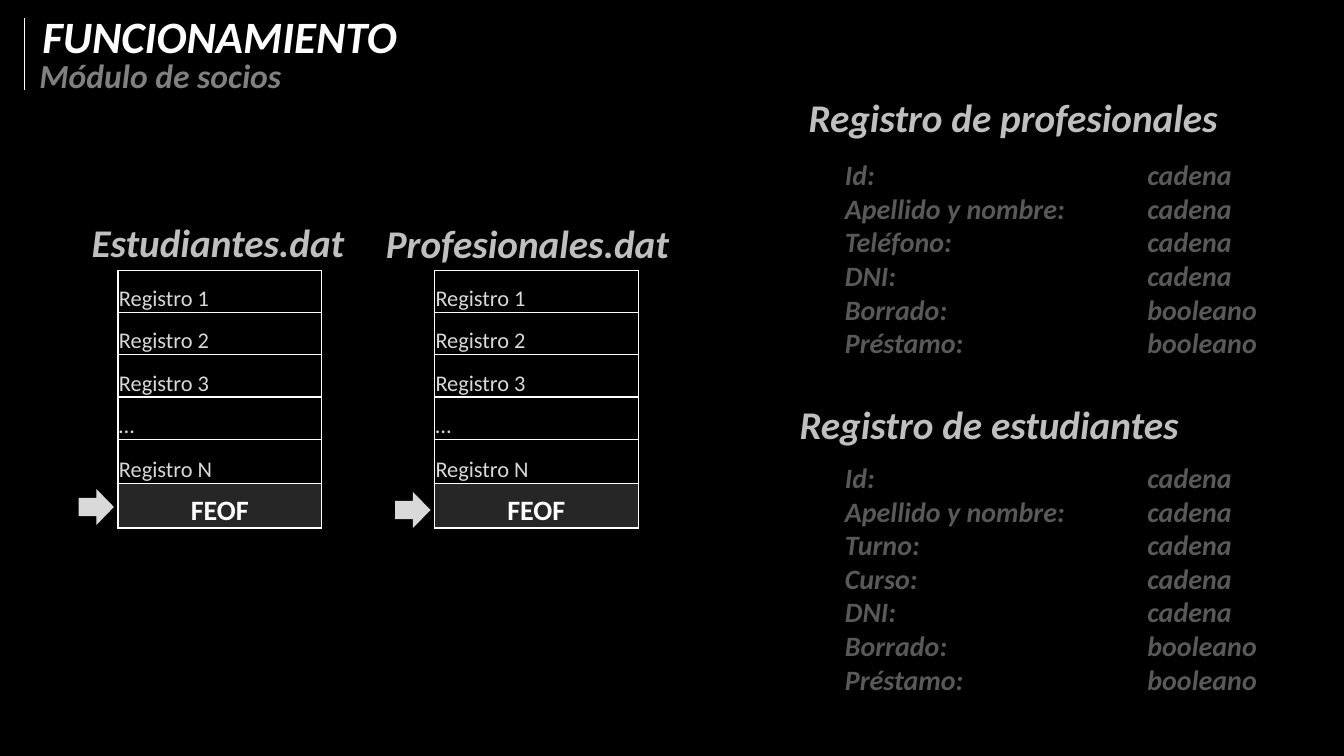
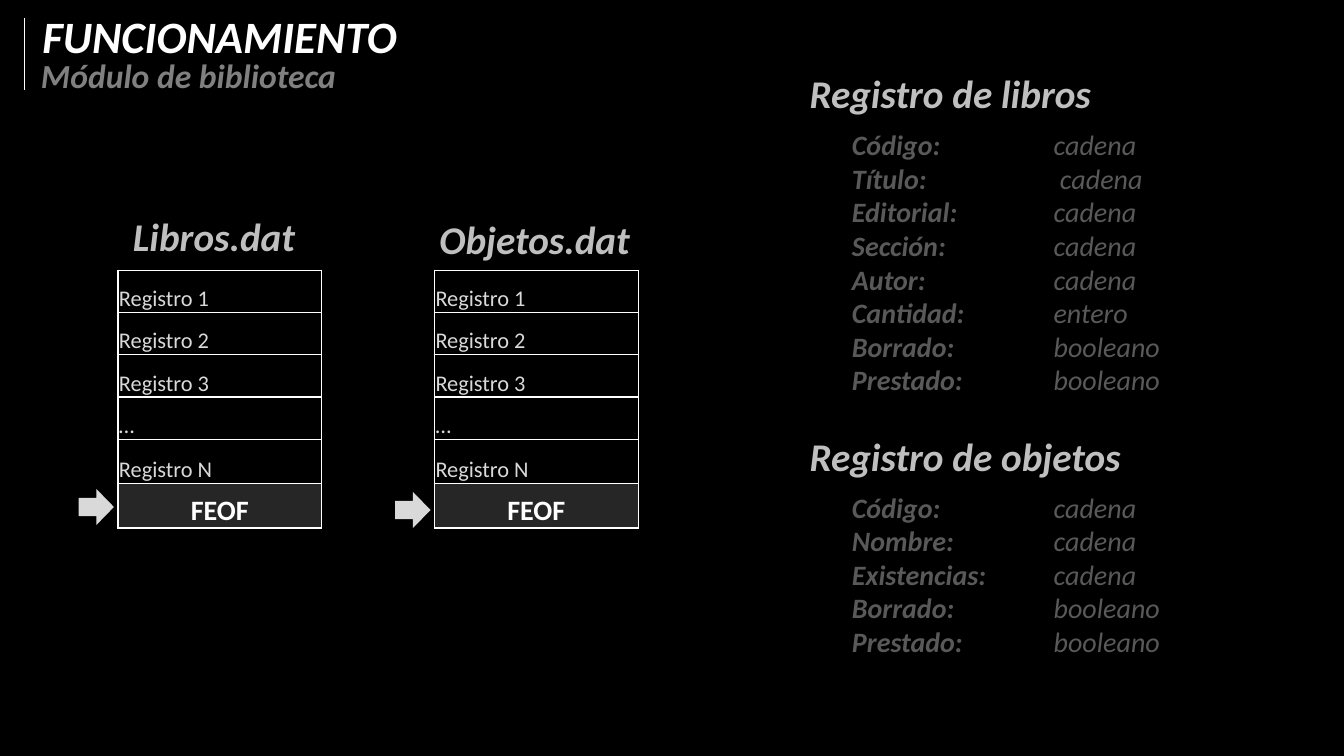
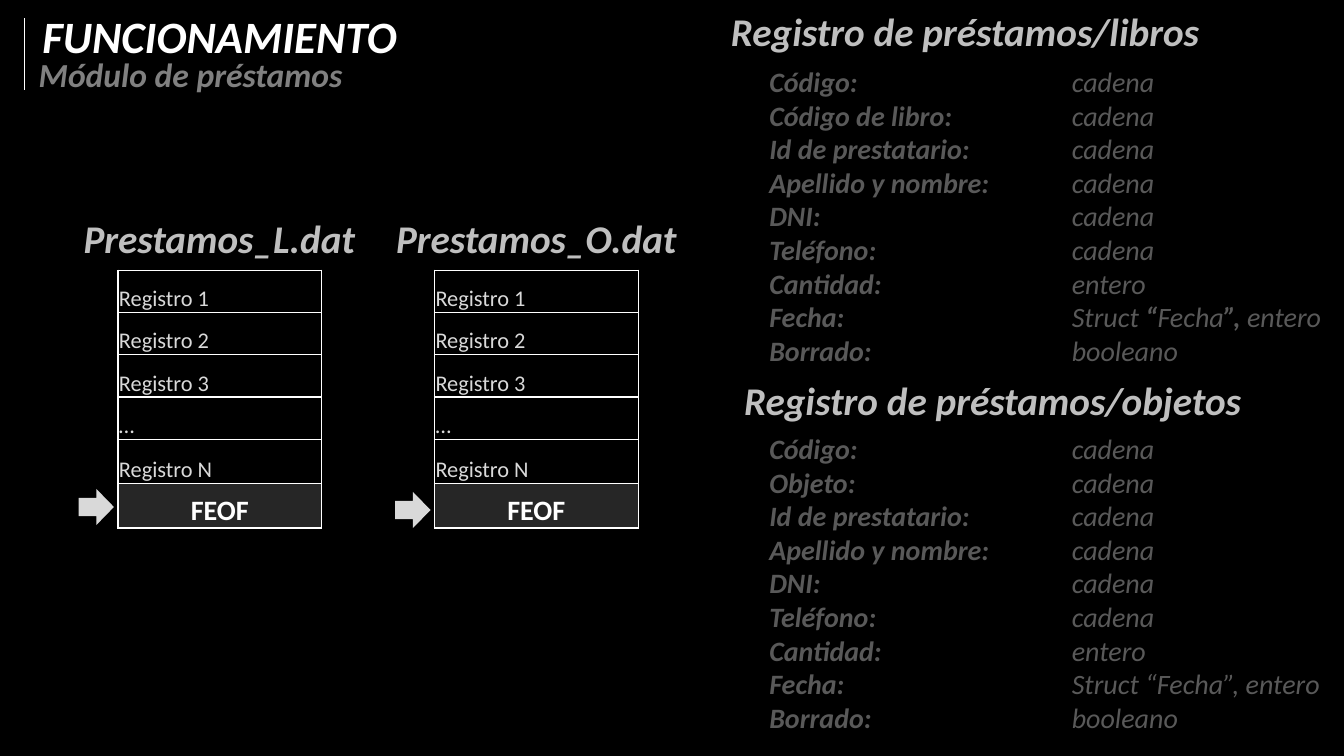
from dataclasses import dataclass

from lxml.etree import SubElement
from pptx import Presentation
from pptx.dml.color import RGBColor
from pptx.enum.shapes import MSO_CONNECTOR, MSO_SHAPE
from pptx.enum.text import MSO_ANCHOR, MSO_AUTO_SIZE, PP_ALIGN
from pptx.oxml.ns import qn
from pptx.util import Inches, Pt

FONT = "Calibri"
BLACK, WHITE = "000000", "FFFFFF"
DARK, DIM, GREY, SILVER, LIGHT = "262626", "595959", "808080", "BFBFBF", "D9D9D9"

COMPARISON_LAYOUT = 4
RECORD_ROWS = ["Registro 1", "Registro 2", "Registro 3", "…", "Registro N", "FEOF"]
ROW_HEIGHTS = [0.42] * 4 + [0.44] * 2
TABLE_LEFTS = [1.17, 4.31]
TABLE_TOP, TABLE_WIDTH = 2.68, 2.02
ARROW_TOPS = [4.85, 4.88]
ARROW_OFFSET = 0.39
FILE_WIDTHS = [2.95, 3.2]
FIELDS_WIDTH = 5.8


@dataclass
class Record:
    """A record heading and its fields; asterisks in a value enclose bold text."""
    heading: str
    heading_at: tuple
    fields_top: float
    fields_height: float
    fields: list


@dataclass
class Module:
    subtitle: str
    subtitle_at: tuple
    files: list  # (name, left, top) of each data file
    fields_left: float
    tab: float
    records: list
    bold_values: bool = False


MODULES = [
    Module(
        "Módulo de socios", (0.22, 0.49, 2.74, 0.51),
        [("Estudiantes.dat", 0.81, 2.03), ("Profesionales.dat", 3.73, 2.04)],
        8.28, 3,
        [
            Record("Registro de profesionales", (7.92, 0.79, 4.34, 0.74), 1.31, 2.51, [
                ("Id:", "cadena"),
                ("Apellido y nombre:", "cadena"),
                ("Teléfono:", "cadena"),
                ("DNI:", "cadena"),
                ("Borrado:", "booleano"),
                ("Préstamo:", "booleano"),
            ]),
            Record("Registro de estudiantes", (7.83, 3.83, 4.05, 0.74), 4.48, 2.51, [
                ("Id:", "cadena"),
                ("Apellido y nombre:", "cadena"),
                ("Turno:", "cadena"),
                ("Curso:", "cadena"),
                ("DNI:", "cadena"),
                ("Borrado:", "booleano"),
                ("Préstamo:", "booleano"),
            ]),
        ],
        bold_values=True,
    ),
    Module(
        "Módulo de biblioteca", (0.22, 0.49, 3.3, 0.51),
        [("Libros.dat", 1.22, 1.97), ("Objetos.dat", 4.26, 2)],
        8.35, 2,
        [
            Record("Registro de libros", (7.93, 0.55, 4.34, 0.74), 0.62, 3.96, [
                ("Código:", "cadena"),
                ("Título:", " cadena"),
                ("Editorial:", "cadena"),
                ("Sección:", "cadena"),
                ("Autor:", "cadena"),
                ("Cantidad:", "entero"),
                ("Borrado:", "booleano"),
                ("Prestado:", "booleano"),
            ]),
            Record("Registro de objetos", (7.93, 4.15, 4.05, 0.74), 4.44, 2.51, [
                ("Código:", "cadena"),
                ("Nombre:", "cadena"),
                ("Existencias:", "cadena"),
                ("Borrado:", "booleano"),
                ("Prestado:", "booleano"),
            ]),
        ],
    ),
    Module(
        "Módulo de préstamos", (0.24, 0.48, 3.3, 0.51),
        [("Prestamos_L.dat", 0.73, 1.99), ("Prestamos_O.dat", 3.83, 1.99)],
        7.53, 3,
        [
            Record("Registro de préstamos/libros", (7.15, -0.06, 4.9, 0.74), 0.45, 3.38, [
                ("Código:", "cadena"),
                ("Código de libro:", "cadena"),
                ("Id de prestatario:", "cadena"),
                ("Apellido y nombre:", "cadena"),
                ("DNI:", "cadena"),
                ("Teléfono:", "cadena"),
                ("Cantidad:", "entero"),
                ("Fecha:", "Struct* “*Fecha*”, *entero"),
                ("Borrado:", "booleano"),
            ]),
            Record("Registro de préstamos/objetos", (7.28, 3.6, 5.22, 0.74), 4.09, 3.38, [
                ("Código:", "cadena"),
                ("Objeto:", "cadena"),
                ("Id de prestatario:", "cadena"),
                ("Apellido y nombre:", "cadena"),
                ("DNI:", "cadena"),
                ("Teléfono:", "cadena"),
                ("Cantidad:", "entero"),
                ("Fecha:", "Struct “Fecha”, entero"),
                ("Borrado:", "booleano"),
            ]),
        ],
    ),
]


def colour(hex_code):
    return RGBColor.from_string(hex_code)


def fill_solid(fill, hex_code):
    fill.solid()
    fill.fore_color.rgb = colour(hex_code)


def set_font(para, size, hex_code, bold=True, italic=True):
    font = para.font
    font.name, font.size = FONT, Pt(size)
    font.bold, font.italic = bold, italic
    font.color.rgb = colour(hex_code)


def place(box, left, top, width, height):
    """Position a text holder and make its text wrap, centred vertically."""
    box.left, box.top = Inches(left), Inches(top)
    box.width, box.height = Inches(width), Inches(height)
    frame = box.text_frame
    frame.word_wrap = True
    frame.auto_size = MSO_AUTO_SIZE.NONE
    frame.vertical_anchor = MSO_ANCHOR.MIDDLE
    return frame


def write_line(box, at, text, size, hex_code, align=PP_ALIGN.LEFT):
    para = place(box, *at).paragraphs[0]
    para.text = text
    para.alignment = align
    para.space_before = Pt(0)
    set_font(para, size, hex_code)


def add_line_box(page, at, *style):
    box = page.shapes.add_textbox(*map(Inches, at))
    write_line(box, at, *style)


def add_header(page, module):
    write_line(page.shapes.title, (0.1, 0, 4.16, 0.71), "FUNCIONAMIENTO",
               32, WHITE, PP_ALIGN.CENTER)
    add_line_box(page, module.subtitle_at, module.subtitle, 24, GREY, PP_ALIGN.CENTER)
    rule = page.shapes.add_connector(
        MSO_CONNECTOR.STRAIGHT, Inches(0.24), Inches(0.18), Inches(0.24), Inches(0.89))
    rule.line.color.rgb = colour(WHITE)
    rule.line.width = Pt(0.5)
    SubElement(rule._element.spPr, qn("a:effectLst"))


def set_borders(cell):
    properties = cell._tc.get_or_add_tcPr()
    for position, side in enumerate(("a:lnL", "a:lnR", "a:lnT", "a:lnB")):
        line = properties.makeelement(qn(side), {"w": str(Pt(1))})
        paint = SubElement(line, qn("a:solidFill"))
        SubElement(paint, qn("a:srgbClr"), val=WHITE)
        properties.insert(position, line)


def add_record_table(page, left):
    frame = page.shapes.add_table(
        len(RECORD_ROWS), 1, Inches(left), Inches(TABLE_TOP),
        Inches(TABLE_WIDTH), Inches(sum(ROW_HEIGHTS)))
    table = frame.table
    table.first_row = table.horz_banding = False
    for row, text, height in zip(table.rows, RECORD_ROWS, ROW_HEIGHTS):
        row.height = Inches(height)
        cell = row.cells[0]
        cell.margin_left = cell.margin_right = cell.margin_top = Inches(0.01)
        cell.margin_bottom = 0
        cell.vertical_anchor = MSO_ANCHOR.BOTTOM
        cell.text = text
        para = cell.text_frame.paragraphs[0]
        if text == "FEOF":
            para.alignment = PP_ALIGN.CENTER
            set_font(para, 20, WHITE, italic=False)
            fill_solid(cell.fill, DARK)
        else:
            set_font(para, 16, LIGHT, bold=False, italic=False)
            fill_solid(cell.fill, BLACK)
        set_borders(cell)


def add_arrow(page, left, top):
    arrow = page.shapes.add_shape(
        MSO_SHAPE.RIGHT_ARROW, Inches(left), Inches(top), Inches(0.35), Inches(0.36))
    arrow.shadow.inherit = False
    fill_solid(arrow.fill, LIGHT)
    arrow.line.fill.background()


def set_tab(para, distance):
    """Remove the bullet and indent, and set the distance between tab stops."""
    properties = para._p.get_or_add_pPr()
    properties.set("marL", "0")
    properties.set("indent", "0")
    properties.set("defTabSz", str(Inches(distance)))
    SubElement(properties, qn("a:buNone"))


def add_span(para, text, bold):
    span = para.add_run()
    span.text = text
    span.font.bold = bold


def write_fields(box, module, record):
    frame = place(box, module.fields_left, record.fields_top,
                  FIELDS_WIDTH, record.fields_height)
    for index, (name, value) in enumerate(record.fields):
        para = frame.add_paragraph() if index else frame.paragraphs[0]
        set_tab(para, module.tab)
        para.space_before = Pt(0)
        set_font(para, 20, DIM)
        add_span(para, name + "\t", True)
        for part, text in enumerate(value.split("*")):
            add_span(para, text, module.bold_values or part % 2 == 1)


def add_module_slide(deck, module):
    page = deck.slides.add_slide(deck.slide_layouts[COMPARISON_LAYOUT])
    add_header(page, module)
    for (name, left, top), width, table_left, arrow_top in zip(
            module.files, FILE_WIDTHS, TABLE_LEFTS, ARROW_TOPS):
        add_line_box(page, (left, top, width, 0.74), name, 28, SILVER)
        add_record_table(page, table_left)
        add_arrow(page, table_left - ARROW_OFFSET, arrow_top)
    _, *holders = page.placeholders
    for record, heading, fields in zip(module.records, holders[::2], holders[1::2]):
        write_line(heading, record.heading_at, record.heading, 28, SILVER)
        write_fields(fields, module, record)


def main():
    deck = Presentation()
    deck.slide_width, deck.slide_height = Inches(13.33), Inches(7.5)
    fill_solid(deck.slide_master.background.fill, BLACK)
    for module in MODULES:
        add_module_slide(deck, module)
    deck.save("out.pptx")


if __name__ == "__main__":
    main()
